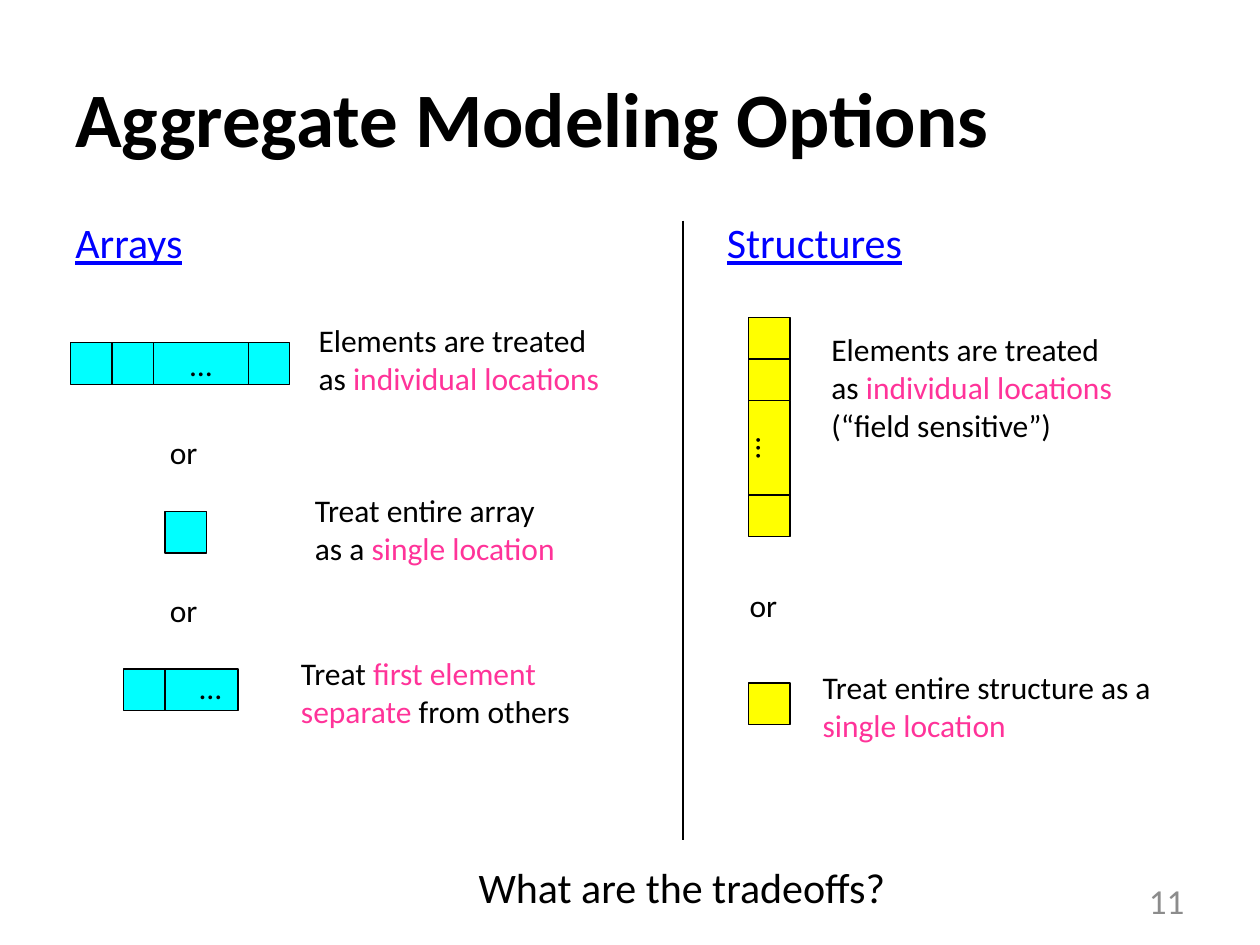
from dataclasses import dataclass

from lxml import etree
from pptx import Presentation
from pptx import util as u
from pptx.dml.color import RGBColor
from pptx.enum import shapes, text
from pptx.oxml import ns


@dataclass(frozen=True)
class Theme:
    font: str = "Calibri"
    ink: str = "000000"
    heading: str = "0000FF"
    highlight: str = "FF3399"
    muted: str = "8C8C8C"
    array: str = "00FFFF"
    structure: str = "FFFF00"
    title_size: int = 44
    heading_size: int = 24
    number_size: int = 20
    body_size: int = 18


THEME = Theme()
CELL = 0.33
GAP_CELL = 0.75
ELLIPSIS = "…"


def inches(*lengths):
    return [u.Inches(length) for length in lengths]


def write_text(shape, content, size=THEME.body_size, color=THEME.ink, bold=None,
               underline=None, align=text.PP_ALIGN.LEFT,
               anchor=text.MSO_ANCHOR.TOP, wrap=False, fit=False):
    frame = shape.text_frame
    frame.word_wrap = wrap
    frame.vertical_anchor = anchor
    frame.auto_size = (text.MSO_AUTO_SIZE.SHAPE_TO_FIT_TEXT if fit
                       else text.MSO_AUTO_SIZE.NONE)
    for index, line in enumerate(content.split("\n")):
        paragraph = frame.add_paragraph() if index else frame.paragraphs[0]
        paragraph.alignment = align
        for position, part in enumerate(line.split("*")):
            if not part:
                continue
            run = paragraph.add_run()
            run.text = part
            run.font.name = THEME.font
            run.font.size = u.Pt(size)
            run.font.bold = bold
            run.font.underline = underline
            run_color = THEME.highlight if position % 2 else color
            run.font.color.rgb = RGBColor.from_string(run_color)


def add_text(slide, box, content, **text_format):
    shape = slide.shapes.add_textbox(*inches(*box))
    write_text(shape, content, **text_format)


def add_label(slide, box, content, **text_format):
    add_text(slide, box, content, fit=True, **text_format)


def add_heading(slide, left, content):
    add_text(slide, (left, 1.67, 4, 5.33), content, size=THEME.heading_size,
             color=THEME.heading, underline=True, wrap=True)


def add_cell(slide, left, top, length, fill, content="", rotation=0):
    shape = slide.shapes.add_shape(shapes.MSO_SHAPE.RECTANGLE,
                                   *inches(left, top, length, CELL))
    shape.rotation = rotation
    shape.shadow.inherit = False
    shape.fill.solid()
    shape.fill.fore_color.rgb = RGBColor.from_string(fill)
    shape.line.color.rgb = RGBColor.from_string(THEME.ink)
    shape.line.width = u.Pt(0.75)
    if content:
        write_text(shape, content, align=text.PP_ALIGN.CENTER,
                   anchor=text.MSO_ANCHOR.MIDDLE)


def add_cells(slide, left, top, lengths, fill, vertical=False):
    offset = 0
    for length in lengths:
        content = ELLIPSIS if length == GAP_CELL else ""
        if vertical:
            shift = (length - CELL) / 2
            add_cell(slide, left - shift, top + offset + shift, length, fill,
                     content, rotation=90)
        else:
            add_cell(slide, left + offset, top, length, fill, content)
        offset += length


def add_divider(slide, left, top, bottom):
    connector = slide.shapes.add_connector(shapes.MSO_CONNECTOR.STRAIGHT,
                                           *inches(left, top, left, bottom))
    connector.line.color.rgb = RGBColor.from_string(THEME.ink)
    connector.line.width = u.Pt(1.25)
    properties = connector.element.find(ns.qn("p:spPr"))
    etree.SubElement(properties, ns.qn("a:effectLst"))


def add_arrays(slide):
    add_heading(slide, 0.5, "Arrays")
    add_cells(slide, 0.56, 2.72, (CELL, CELL, GAP_CELL, CELL), THEME.array)
    add_label(slide, (2.43, 2.5, 2.46, 0.71),
              "Elements are treated\nas *individual locations*")
    for top in (3.39, 4.64):
        add_label(slide, (1.25, top, 0.42, 0.4), "or")
    add_cells(slide, 1.31, 4.06, (CELL,), THEME.array)
    add_label(slide, (2.4, 3.85, 2.13, 0.71),
              "Treat entire array\nas a *single location*")
    add_cells(slide, 0.98, 5.31, (CELL, 0.58), THEME.array)
    add_label(slide, (1.48, 5.25, 0.38, 0.4), ELLIPSIS,
              align=text.PP_ALIGN.CENTER)
    add_label(slide, (2.29, 5.14, 2.38, 0.71),
              "Treat *first element*\n*separate *from others")


def add_structures(slide):
    add_heading(slide, 5.67, "Structures")
    add_cells(slide, 5.94, 2.52, (CELL, CELL, GAP_CELL, CELL),
              THEME.structure, vertical=True)
    add_label(slide, (6.5, 2.57, 2.46, 1.01),
              "Elements are treated\nas *individual locations*\n"
              "(“field sensitive”)")
    add_label(slide, (5.85, 4.6, 0.42, 0.4), "or")
    add_cells(slide, 5.94, 5.42, (CELL,), THEME.structure)
    add_label(slide, (6.43, 5.25, 2.91, 0.71),
              "Treat entire structure as a *single location*", wrap=True)


def main():
    presentation = Presentation()
    presentation.slide_width, presentation.slide_height = inches(10, 7.5)
    slide = presentation.slides.add_slide(presentation.slide_layouts[6])
    add_text(slide, (0.5, 0.3, 9, 1.25), "Aggregate Modeling Options",
             size=THEME.title_size, bold=True, wrap=True,
             anchor=text.MSO_ANCHOR.MIDDLE)
    add_arrays(slide)
    add_divider(slide, 5.42, 1.75, 6.67)
    add_structures(slide)
    add_label(slide, (3.7, 6.79, 3.47, 0.5), "What are the tradeoffs?",
              size=THEME.heading_size)
    add_text(slide, (7.17, 6.95, 2.33, 0.4), "11", size=THEME.number_size,
             color=THEME.muted, align=text.PP_ALIGN.RIGHT, wrap=True,
             anchor=text.MSO_ANCHOR.MIDDLE)
    presentation.save("out.pptx")


if __name__ == "__main__":
    main()
